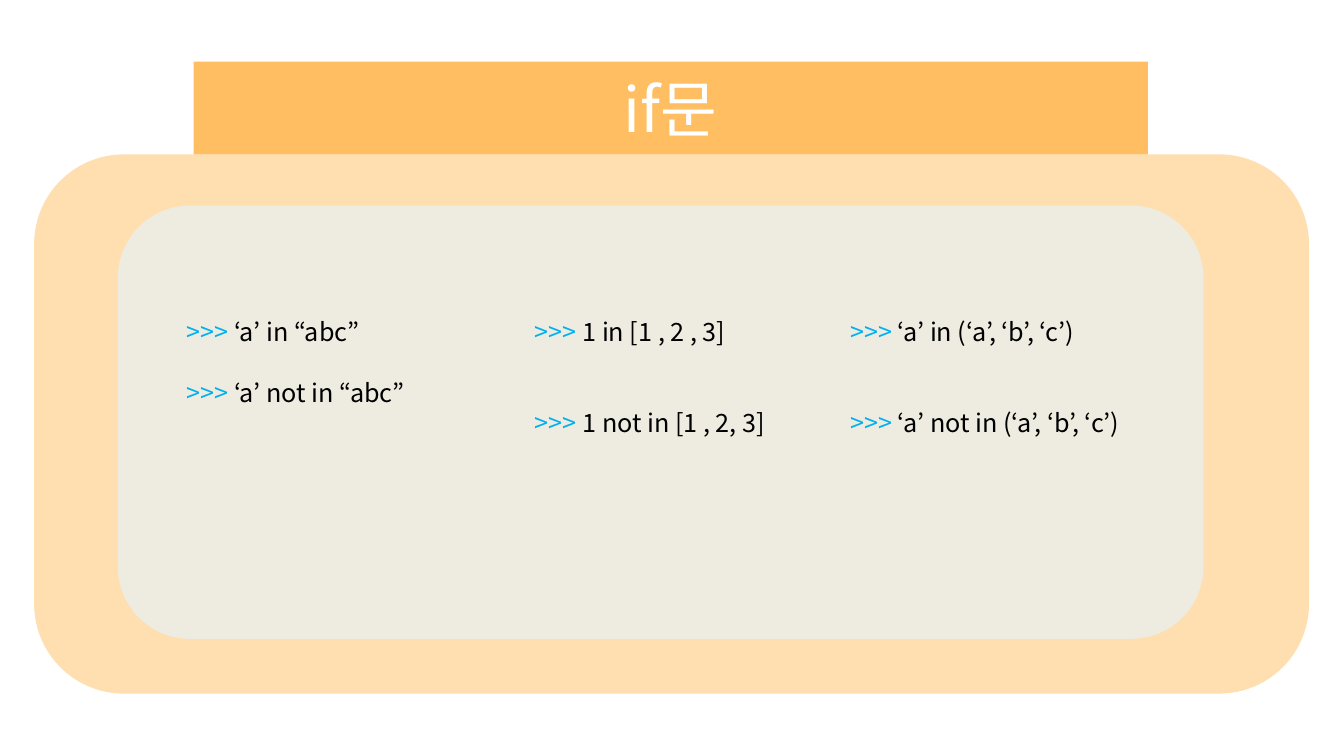
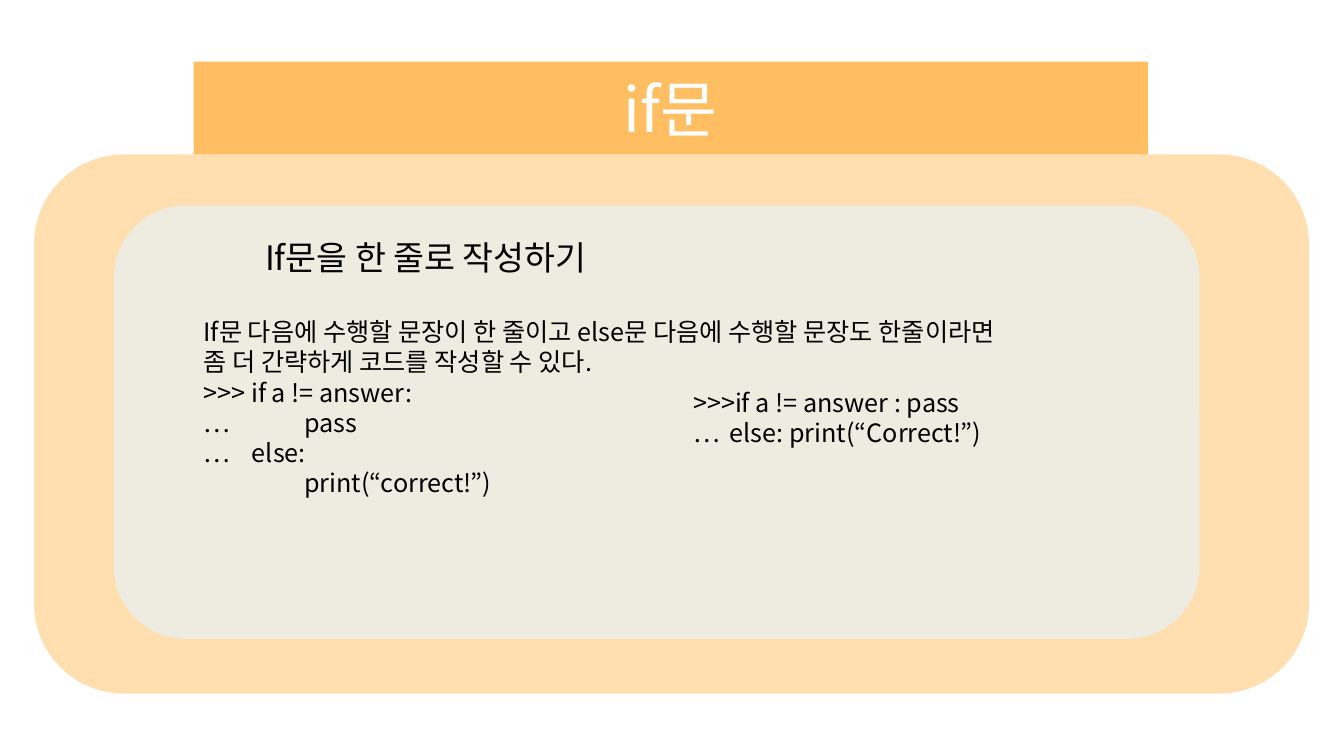
import pptx
import pptx.dml.color
import pptx.enum.shapes
import pptx.enum.text
import pptx.oxml
import pptx.oxml.ns
import pptx.util
from dataclasses import dataclass
from lxml import etree

Cm, Pt = pptx.util.Cm, pptx.util.Pt
qn = pptx.oxml.ns.qn


@dataclass(frozen=True)
class Theme:
    font: str = "Noto Sans CJK KR"
    accent: str = "FFBE61"
    panel: str = "EEECE1"
    title: str = "FFFFFF"
    text: str = "000000"
    prompt: str = "00B0F0"
    title_size: int = 44
    heading_size: int = 24
    body_size: int = 18
    leading: float = 1.2


THEME = Theme()
PROMPT = ">>>"

# Boxes are left, top, width, height in centimetres.
TITLE_BOX = (4.88, 1.55, 24.05, 2.34)
FRAME_BOX = (0.86, 3.89, 32.13, 13.59)
PANEL_TOP, PANEL_WIDTH, PANEL_HEIGHT = 5.18, 27.36, 10.92
TEXT_TOP = 7.85

# "gap" counts the lines left free between paragraphs, "tabs" are in centimetres.
SLIDES = [
    {
        "title": "if문",
        "panel_left": 2.97,
        "texts": [
            {"box": (4.45, TEXT_TOP, 12.47, 3.33), "gap": 1, "colour_prompt": True,
             "lines": [">>> ‘a’ in “abc”", ">>> ‘a’ not in “abc”"]},
            {"box": (13.23, TEXT_TOP, 12.47, 4.88), "gap": 2, "colour_prompt": True,
             "lines": [">>> 1 in [1 , 2 , 3]", ">>> 1 not in [1 , 2, 3]"]},
            {"box": (21.18, TEXT_TOP, 12.47, 4.88), "gap": 2, "colour_prompt": True,
             "lines": [">>> ‘a’ in (‘a’, ‘b’, ‘c’)", ">>> ‘a’ not in (‘a’, ‘b’, ‘c’)"]},
        ],
    },
    {
        "title": "if문",
        "panel_left": 2.87,
        "texts": [
            {"box": (6.43, 5.84, 20.96, 1.27), "size": THEME.heading_size,
             "lines": ["If문을 한 줄로 작성하기"]},
            {"box": (4.88, TEXT_TOP, 27.46, 5.64), "tabs": (1.22, 2.54),
             "lines": ["If문 다음에 수행할 문장이 한 줄이고 else문 다음에 수행할 문장도 한줄이라면",
                       "좀 더 간략하게 코드를 작성할 수 있다.",
                       ">>> if a != answer:",
                       "…\t\tpass",
                       "…\telse:",
                       "\t\tprint(“correct!”)"]},
            {"box": (17.22, 9.63, 9.6, 2.57), "tabs": (0.92,),
             "lines": [">>>if a != answer : pass", "…\telse: print(“Correct!”)"]},
        ],
    },
]


def rgb(colour):
    return pptx.dml.color.RGBColor.from_string(colour)


def format_run(r, size, colour):
    r.font.name = THEME.font
    r.font.size = Pt(size)
    r.font.color.rgb = rgb(colour)
    ea = etree.SubElement(r.font._element, qn("a:ea"))
    ea.set("typeface", THEME.font)


def set_tabs(p, stops):
    tab_list = etree.SubElement(p._p.get_or_add_pPr(), qn("a:tabLst"))
    for stop in stops:
        tab = etree.SubElement(tab_list, qn("a:tab"))
        tab.set("pos", str(int(Cm(stop))))
        tab.set("algn", "l")


def add_title(slide, text):
    """Turn the title placeholder into the rounded banner."""
    sp = slide.shapes.title
    sp.left, sp.top, sp.width, sp.height = map(Cm, TITLE_BOX)
    geometry = etree.Element(qn("a:prstGeom"), prst="roundRect")
    etree.SubElement(geometry, qn("a:avLst"))
    sp._element.spPr.find(qn("a:xfrm")).addnext(geometry)
    sp.fill.solid()
    sp.fill.fore_color.rgb = rgb(THEME.accent)
    tf = sp.text_frame
    tf.text = text
    tf.auto_size = pptx.enum.text.MSO_AUTO_SIZE.NONE
    tf.vertical_anchor = pptx.enum.text.MSO_ANCHOR.MIDDLE
    p = tf.paragraphs[0]
    p.alignment = pptx.enum.text.PP_ALIGN.CENTER
    format_run(p.runs[0], THEME.title_size, THEME.title)


def add_rounded(slide, box, colour, opacity=100):
    shape = slide.shapes.add_shape(
        pptx.enum.shapes.MSO_SHAPE.ROUNDED_RECTANGLE, *map(Cm, box))
    shape.shadow.inherit = False
    shape.line.fill.background()
    shape.fill.solid()
    shape.fill.fore_color.rgb = rgb(colour)
    if opacity < 100:
        fill = shape._element.spPr.find(qn("a:solidFill"))
        etree.SubElement(fill[0], qn("a:alpha")).set("val", str(opacity * 1000))


def add_text(slide, box, lines, size=THEME.body_size, gap=0, tabs=(), colour_prompt=False):
    tf = slide.shapes.add_textbox(*map(Cm, box)).text_frame
    tf.word_wrap = True
    leading = size * THEME.leading
    for i, line in enumerate(lines):
        p = tf.paragraphs[0] if i == 0 else tf.add_paragraph()
        p.line_spacing = Pt(leading)
        p.space_before = Pt(gap * leading if i else 0)
        if tabs:
            set_tabs(p, tabs)
        if colour_prompt:
            p.text = PROMPT
            format_run(p.runs[0], size, THEME.prompt)
            line = line.removeprefix(PROMPT)
        r = p.add_run()
        r.text = line
        format_run(r, size, THEME.text)


def main():
    prs = pptx.Presentation()
    prs.slide_width, prs.slide_height = Cm(33.87), Cm(19.05)
    title_only = prs.slide_layouts.get_by_name("Title Only")
    for content in SLIDES:
        slide = prs.slides.add_slide(title_only)
        add_title(slide, content["title"])
        add_rounded(slide, FRAME_BOX, THEME.accent, opacity=50)
        panel = (content["panel_left"], PANEL_TOP, PANEL_WIDTH, PANEL_HEIGHT)
        add_rounded(slide, panel, THEME.panel)
        for text in content["texts"]:
            add_text(slide, **text)
    prs.save("out.pptx")


if __name__ == "__main__":
    main()
